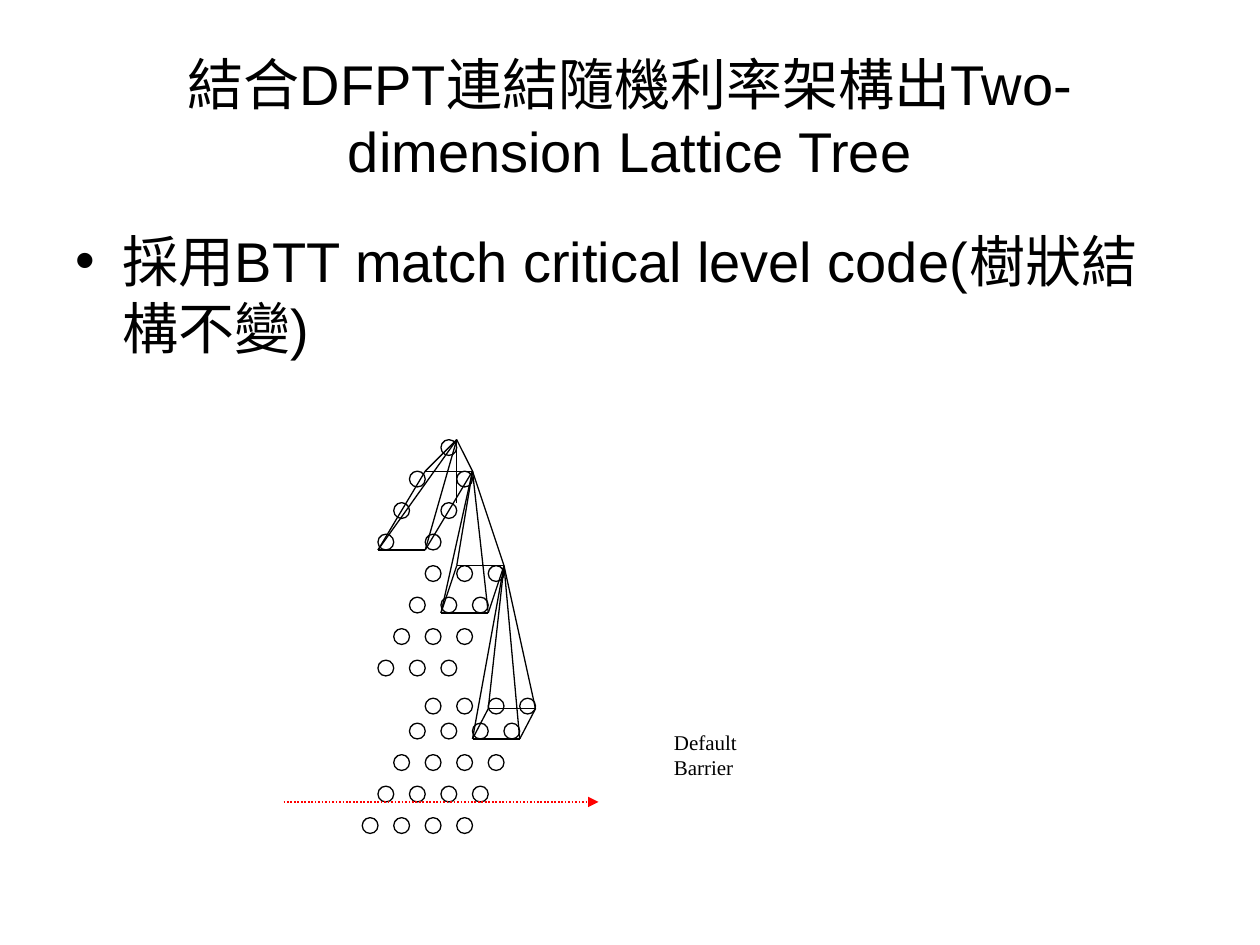
from lxml import etree
from pptx import Presentation
from pptx.dml.color import RGBColor
from pptx.enum.dml import MSO_LINE
from pptx.enum.shapes import MSO_CONNECTOR, MSO_SHAPE
from pptx.enum.text import MSO_ANCHOR, PP_ALIGN
from pptx.oxml.ns import qn
from pptx.util import Emu, Pt

BLACK, WHITE, RED = "000000", "FFFFFF", "FF0000"
NODE = 12    # node diameter, also the shift of each row to the left
BASE = 36    # width of a branch base

# Each layer: nodes per row, gap between nodes, left of first row, row tops
LAYERS = [
    (1, 0, 336, [335]),
    (2, 36, 312, [359, 383, 407]),
    (3, 24, 324, [431, 455, 479, 503]),
    (4, 24, 324, [532, 551, 575, 599, 623]),
]
# Each branch: apex, left end of the base's upper edge, left end of its lower edge
BRANCHES = [
    ((348, 335), (324, 359), (288, 419)),
    ((360, 359), (348, 431), (336, 467)),
    ((384, 431), (372, 540), (360, 563)),
]


def px(n):
    return Emu(n * 9525)


def rgb(value):
    return RGBColor.from_string(value)


def add_text(slide, box, text, size, font="Arial", align=PP_ALIGN.LEFT,
             anchor=MSO_ANCHOR.TOP, left=0, hanging=0):
    sp = slide.shapes.add_textbox(*map(px, box))
    tf = sp.text_frame
    tf.word_wrap = True
    tf.vertical_anchor = anchor
    tf.text = text
    p = tf.paragraphs[0]
    p.alignment = align
    pPr = p._p.get_or_add_pPr()
    pPr.set("marL", str(px(left)))
    pPr.set("indent", str(px(-hanging)))
    if hanging:
        etree.SubElement(pPr, qn("a:buFont")).set("typeface", font)
        etree.SubElement(pPr, qn("a:buChar")).set("char", "•")
    f = p.runs[0].font
    f.name, f.size = font, Pt(size)
    f.color.rgb = rgb(BLACK)
    return sp


def add_node(slide, x, y):
    sp = slide.shapes.add_shape(MSO_SHAPE.OVAL, *map(px, (x, y, NODE, NODE)))
    sp.shadow.inherit = False
    sp.fill.solid()
    sp.fill.fore_color.rgb = rgb(WHITE)
    sp.line.color.rgb = rgb(BLACK)
    sp.line.width = Pt(0.75)


def add_line(slide, start, end, color=BLACK, width=0.75):
    line = slide.shapes.add_connector(MSO_CONNECTOR.STRAIGHT,
                                      *map(px, (*start, *end)))
    line.line.color.rgb = rgb(color)
    line.line.width = Pt(width)
    etree.SubElement(line._element.spPr, qn("a:effectLst"))
    return line


def add_layer(slide, count, gap, left, tops):
    for row, top in enumerate(tops):
        for col in range(count):
            add_node(slide, left - row * NODE + col * gap, top)


def add_branch(slide, apex, upper, lower):
    corners = [upper, (upper[0] + BASE, upper[1]),
               (lower[0] + BASE, lower[1]), lower]
    for i, corner in enumerate(corners):
        add_line(slide, corner, corners[i - 1])
        add_line(slide, apex, corner)


def add_barrier(slide):
    line = add_line(slide, (216, 611), (456, 611), RED, 1).line
    line.dash_style = MSO_LINE.ROUND_DOT
    etree.SubElement(line._get_or_add_ln(), qn("a:tailEnd")).set("type", "triangle")
    label = add_text(slide, (456, 551, 132, 48), "Default Barrier", 12,
                     "Times New Roman", left=48)
    label.fill.solid()
    label.fill.fore_color.rgb = rgb(WHITE)


def main():
    prs = Presentation()
    prs.slide_width, prs.slide_height = px(960), px(720)
    slide = prs.slides.add_slide(prs.slide_layouts[6])

    # Title and bullet
    add_text(slide, (48, 29, 864, 120),
             "結合DFPT連結隨機利率架構出Two-dimension Lattice Tree", 32,
             align=PP_ALIGN.CENTER, anchor=MSO_ANCHOR.MIDDLE)
    add_text(slide, (48, 168, 864, 475),
             "採用BTT match critical level code(樹狀結構不變)", 32,
             left=36, hanging=36)

    # Lattice nodes, then the branches over them
    for layer in LAYERS:
        add_layer(slide, *layer)
    for branch in BRANCHES:
        add_branch(slide, *branch)
    add_line(slide, (348, 335), (348, 383))

    # Default barrier
    add_barrier(slide)
    prs.save("out.pptx")


if __name__ == "__main__":
    main()
